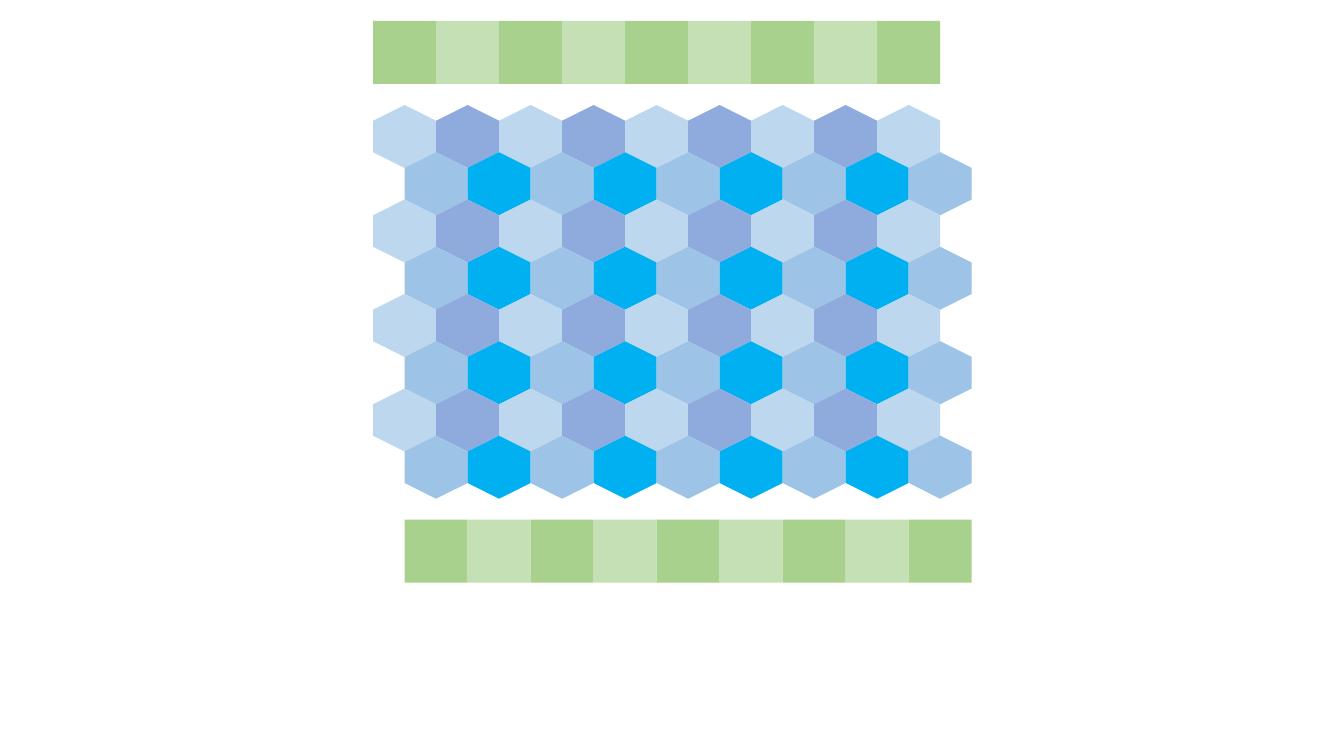
from itertools import cycle, islice

from pptx import Presentation
from pptx.dml.color import RGBColor
from pptx.enum.shapes import MSO_SHAPE
from pptx.util import Inches

# Grid: square cells, twelve to the height of the slide
SLIDE_WIDTH, SLIDE_HEIGHT = Inches(13.33), Inches(7.5)
CELL = SLIDE_HEIGHT / 12
GRID_LEFT = Inches(3.7)
COLUMNS, HEXAGON_ROWS = 9, 8
ROW_PITCH = 0.75  # interlocking hexagons overlap by a quarter cell
SHIFT = 0.5  # every other row moves right by half a cell

# Rows, in cells from the top of the slide
TOP_BAND_ROW = 1 / 3
HEXAGON_TOP_ROW = 5 / 3
BOTTOM_BAND_ROW = 8.25

# Colours alternate along each row
BAND_COLOURS = ("A9D18E", "C5E0B4")
HEXAGON_COLOURS = (("BDD7EE", "8FAADC"), ("9DC3E6", "00B0F0"))

SQUARE = {"kind": MSO_SHAPE.RECTANGLE, "format": {}}
HEXAGON = {"kind": MSO_SHAPE.HEXAGON, "format": {"rotation": 90}}


def fill_shape(shape, colour):
    shape.fill.solid()
    shape.fill.fore_color.rgb = RGBColor.from_string(colour)


def add_tile(page, tile, column, row, colour):
    left, top = round(GRID_LEFT + column * CELL), round(row * CELL)
    shape = page.shapes.add_shape(tile["kind"], left, top, round(CELL), round(CELL))
    for name, value in tile["format"].items():
        setattr(shape, name, value)
    shape.shadow.inherit = False
    shape.line.fill.background()
    fill_shape(shape, colour)


def add_row(page, tile, row, colours, shift=0):
    for column, colour in enumerate(islice(cycle(colours), COLUMNS)):
        add_tile(page, tile, column + shift, row, colour)


def add_honeycomb(page):
    for index in range(HEXAGON_ROWS):
        parity = index % 2
        row = HEXAGON_TOP_ROW + index * ROW_PITCH
        add_row(page, HEXAGON, row, HEXAGON_COLOURS[parity], parity * SHIFT)


def main():
    deck = Presentation()
    deck.slide_width, deck.slide_height = SLIDE_WIDTH, SLIDE_HEIGHT
    page = deck.slides.add_slide(deck.slide_layouts.get_by_name("Blank"))

    # Green bands below and above the honeycomb
    add_row(page, SQUARE, BOTTOM_BAND_ROW, BAND_COLOURS, SHIFT)
    add_row(page, SQUARE, TOP_BAND_ROW, BAND_COLOURS)

    # Blue honeycomb
    add_honeycomb(page)

    deck.save("out.pptx")


if __name__ == "__main__":
    main()
